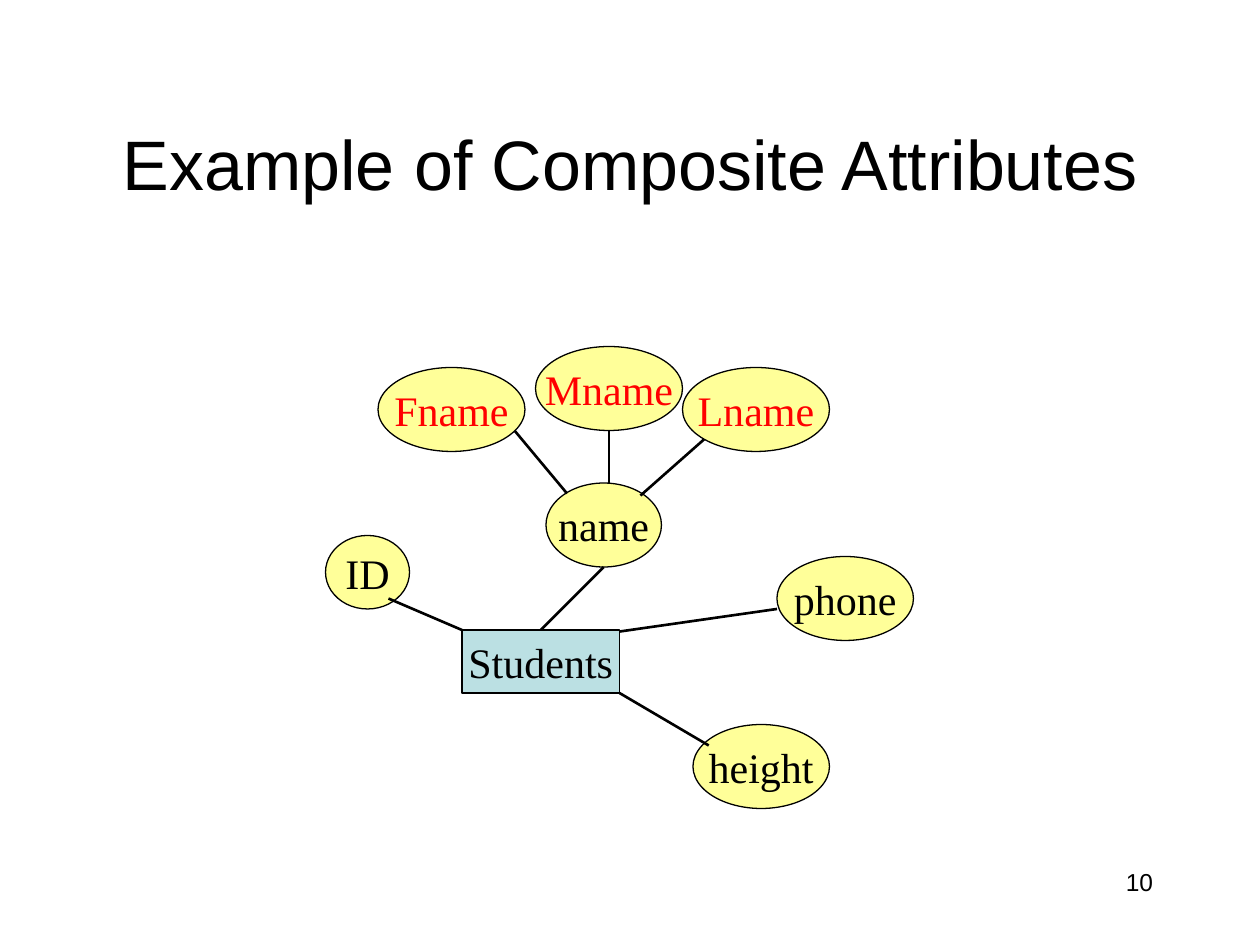
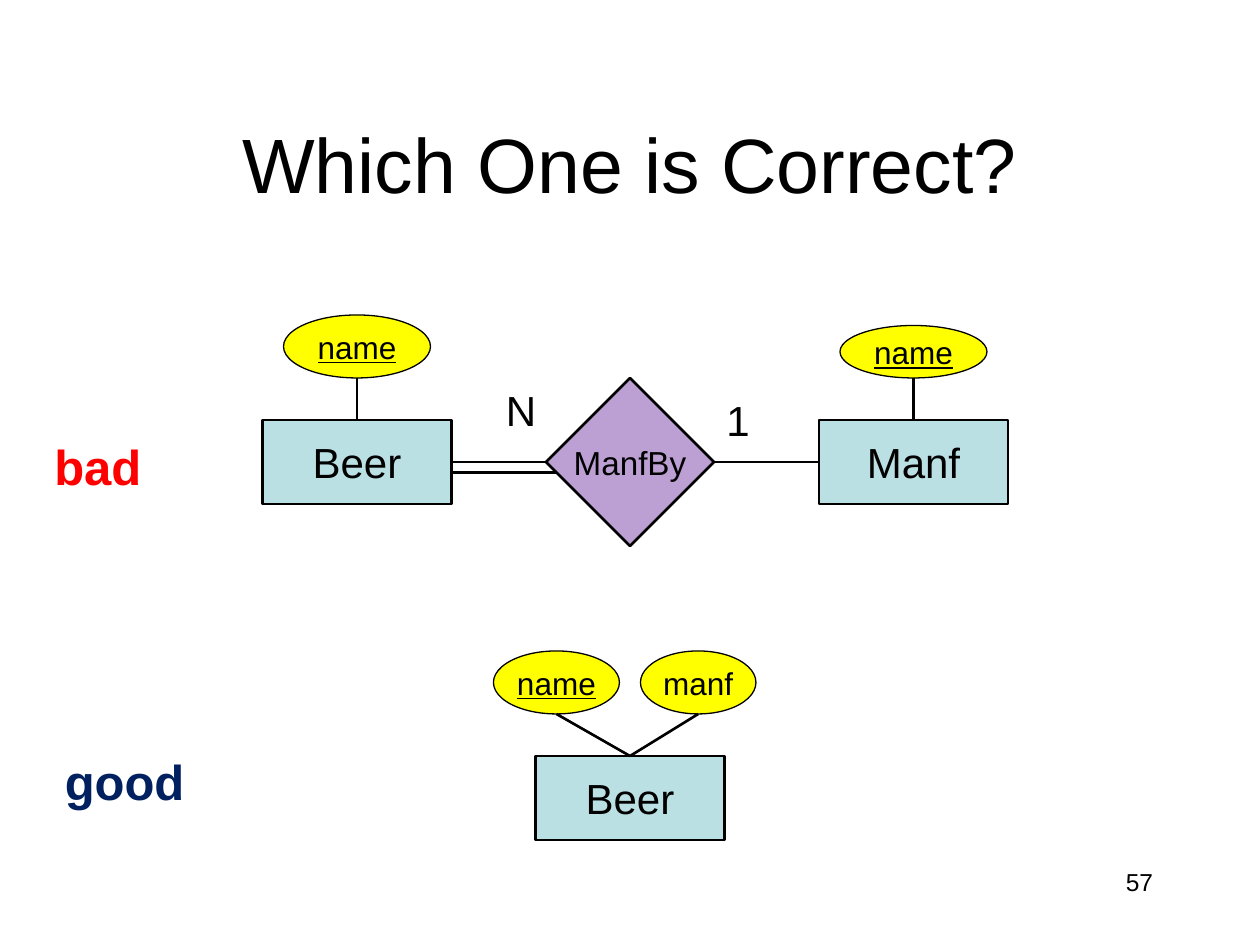
"""Build two slides of entity-relationship diagrams on a grid of 120 columns by 90 rows."""
from dataclasses import dataclass

import pptx
import pptx.dml.color
import pptx.enum.shapes
import pptx.enum.text
import pptx.oxml.ns
import pptx.util
from lxml import etree

RGBColor = pptx.dml.color.RGBColor
Preset = pptx.enum.shapes.MSO_SHAPE
Align = pptx.enum.text.PP_ALIGN
Anchor = pptx.enum.text.MSO_ANCHOR

BLACK = RGBColor(0x00, 0x00, 0x00)
RED = RGBColor(0xFF, 0x00, 0x00)
NAVY = RGBColor(0x00, 0x20, 0x60)
PURPLE = RGBColor(0x70, 0x30, 0xA0)
ENTITY_BLUE = RGBColor(0xBB, 0xE0, 0xE3)
PALE_YELLOW = RGBColor(0xFF, 0xFF, 0x99)
YELLOW = RGBColor(0xFF, 0xFF, 0x00)

SANS = "Arial"
SERIF = "Times New Roman"
WIDTH = pptx.util.Inches(10)
HEIGHT = pptx.util.Inches(7.5)
COLUMNS, ROWS = 120, 90


@dataclass(frozen=True)
class Box:
    """A rectangle in grid columns and rows."""
    column: float
    row: float
    columns: float
    rows: float

    def emu(self) -> tuple[int, int, int, int]:
        """Return left, top, width and height on the slide."""
        return (*point(self.column, self.row), *point(self.columns, self.rows))


@dataclass(frozen=True)
class TextStyle:
    """The look of one run of text."""
    size: float
    font: str = SANS
    color: RGBColor = BLACK
    bold: bool = False
    underline: bool = False


@dataclass(frozen=True)
class NodeStyle:
    """The look of a kind of diagram node."""
    preset: Preset
    fill: RGBColor
    text: TextStyle
    line_width: float = 0.75
    opacity: int = 100


@dataclass(frozen=True)
class Node:
    """An entity, attribute or relationship."""
    text: str
    style: NodeStyle
    box: Box


@dataclass(frozen=True)
class Link:
    """A straight line between two grid points."""
    start: tuple[float, float]
    end: tuple[float, float]


@dataclass(frozen=True)
class Label:
    """A free-standing text."""
    text: str
    style: TextStyle
    box: Box
    align: Align = Align.LEFT


@dataclass(frozen=True)
class Diagram:
    """A titled slide and its elements from back to front."""
    title: str
    title_size: float
    page: str
    elements: tuple[Node | Link | Label, ...]


TITLE_BOX = Box(9, 8, 102, 15)
PAGE_BOX = Box(86, 82, 25, 6)

SERIF_TEXT = TextStyle(24, SERIF)
SANS_TEXT = TextStyle(24)
STUDENT_ENTITY = NodeStyle(Preset.RECTANGLE, ENTITY_BLUE, SERIF_TEXT)
ATTRIBUTE = NodeStyle(Preset.OVAL, PALE_YELLOW, SERIF_TEXT)
NAME_PART = NodeStyle(Preset.OVAL, PALE_YELLOW, TextStyle(24, SERIF, RED))
ENTITY = NodeStyle(Preset.RECTANGLE, ENTITY_BLUE, SANS_TEXT, 1.5)
RELATIONSHIP = NodeStyle(Preset.DIAMOND, PURPLE, TextStyle(19), 1.5, 46)
KEY = NodeStyle(Preset.OVAL, YELLOW, TextStyle(18, underline=True))
PLAIN_ATTRIBUTE = NodeStyle(Preset.OVAL, YELLOW, TextStyle(18))

COMPOSITE_ATTRIBUTES = Diagram("Example of Composite Attributes", 40, "10", (
    Node("Students", STUDENT_ENTITY, Box(44, 60, 15, 6)),
    Node("ID", ATTRIBUTE, Box(31, 51, 8, 7)),
    Node("name", ATTRIBUTE, Box(52, 46, 11, 8)),
    Node("phone", ATTRIBUTE, Box(74, 53, 13, 8)),
    Node("height", ATTRIBUTE, Box(66, 69, 13, 8)),
    Link((44, 60), (37, 57)),
    Link((51.5, 60), (57.5, 54)),
    Link((59, 66), (67.5, 71)),
    Link((59, 60.15), (74, 58)),
    Link((54, 47), (49, 41)),
    Link((58, 46), (58, 41)),
    Link((61, 47.2), (67.05, 41.85)),
    Node("Fname", NAME_PART, Box(36, 35, 14, 8)),
    Node("Mname", NAME_PART, Box(51, 33, 14, 8)),
    Node("Lname", NAME_PART, Box(65, 35, 14, 8)),
))

WHICH_ONE = Diagram("Which One is Correct?", 44, "57", (
    Node("Beer", ENTITY, Box(25, 40, 18, 8)),
    Node("Manf", ENTITY, Box(78, 40, 18, 8)),
    Node("ManfBy", RELATIONSHIP, Box(52, 36, 16, 16)),
    Link((52, 44), (43, 44)),
    Link((68, 44), (78, 44)),
    Node("name", KEY, Box(80, 31, 14, 5)),
    Link((87, 36), (87, 40)),
    Node("name", KEY, Box(27, 30, 14, 6)),
    Link((34, 36), (34, 40)),
    Node("Beer", ENTITY, Box(51, 72, 18, 8)),
    Node("name", KEY, Box(47, 62, 12, 6)),
    Link((53, 68), (60, 72)),
    Node("manf", PLAIN_ATTRIBUTE, Box(61, 62, 11, 6)),
    Link((66.5, 68), (60, 72)),
    Label("bad", TextStyle(28, color=RED, bold=True), Box(4, 41, 18, 6.8)),
    Label("good", TextStyle(28, color=NAVY, bold=True), Box(5, 71, 23, 6.8)),
    Label("N", SANS_TEXT, Box(47, 36, 5, 6)),
    Label("1", SANS_TEXT, Box(68, 37, 5, 6)),
    Link((53, 45), (43, 45)),
))


def point(column: float, row: float) -> tuple[int, int]:
    """Convert a grid point to slide units."""
    return round(WIDTH * column / COLUMNS), round(HEIGHT * row / ROWS)


def write(text_frame, text: str, style: TextStyle, align: Align) -> None:
    """Set the text of a frame and format its run."""
    text_frame.text = text
    paragraph = text_frame.paragraphs[0]
    paragraph.alignment = align
    font = paragraph.runs[0].font
    font.name = style.font
    font.size = pptx.util.Pt(style.size)
    font.color.rgb = style.color
    font.bold = style.bold
    font.underline = style.underline


def draw_node(slide, node: Node) -> None:
    """Draw a filled shape with centred text."""
    style = node.style
    shape = slide.shapes.add_shape(style.preset, *node.box.emu())
    shape.shadow.inherit = False
    shape.fill.solid()
    shape.fill.fore_color.rgb = style.fill
    if style.opacity < 100:
        color = shape.fill._xPr.find(".//" + pptx.oxml.ns.qn("a:srgbClr"))
        alpha = etree.SubElement(color, pptx.oxml.ns.qn("a:alpha"))
        alpha.set("val", str(style.opacity * 1000))
    shape.line.color.rgb = BLACK
    shape.line.width = pptx.util.Pt(style.line_width)
    shape.text_frame.word_wrap = False
    shape.text_frame.vertical_anchor = Anchor.MIDDLE
    write(shape.text_frame, node.text, style.text, Align.CENTER)


def draw_link(slide, link: Link) -> None:
    """Draw a straight connector without a shadow."""
    connector = slide.shapes.add_connector(
        pptx.enum.shapes.MSO_CONNECTOR.STRAIGHT, *point(*link.start), *point(*link.end))
    connector.line.color.rgb = BLACK
    connector.line.width = pptx.util.Pt(1.5)
    etree.SubElement(connector._element.spPr, pptx.oxml.ns.qn("a:effectLst"))


def draw_label(slide, label: Label) -> None:
    """Draw a wrapping text box."""
    text_frame = slide.shapes.add_textbox(*label.box.emu()).text_frame
    text_frame.word_wrap = True
    write(text_frame, label.text, label.style, label.align)


DRAWERS = {Node: draw_node, Link: draw_link, Label: draw_label}


def draw_diagram(presentation, diagram: Diagram) -> None:
    """Add one slide with its title, page number and elements."""
    slide = presentation.slides.add_slide(presentation.slide_layouts.get_by_name("Title Only"))
    title = slide.shapes.title
    title.left, title.top, title.width, title.height = TITLE_BOX.emu()
    title.text_frame.vertical_anchor = Anchor.MIDDLE
    write(title.text_frame, diagram.title, TextStyle(diagram.title_size), Align.CENTER)
    draw_label(slide, Label(diagram.page, TextStyle(14), PAGE_BOX, Align.RIGHT))
    for element in diagram.elements:
        DRAWERS[type(element)](slide, element)


def main() -> None:
    """Build and save the presentation."""
    presentation = pptx.Presentation()
    presentation.slide_width, presentation.slide_height = WIDTH, HEIGHT
    for diagram in (COMPOSITE_ATTRIBUTES, WHICH_ONE):
        draw_diagram(presentation, diagram)
    presentation.save("out.pptx")


if __name__ == "__main__":
    main()
